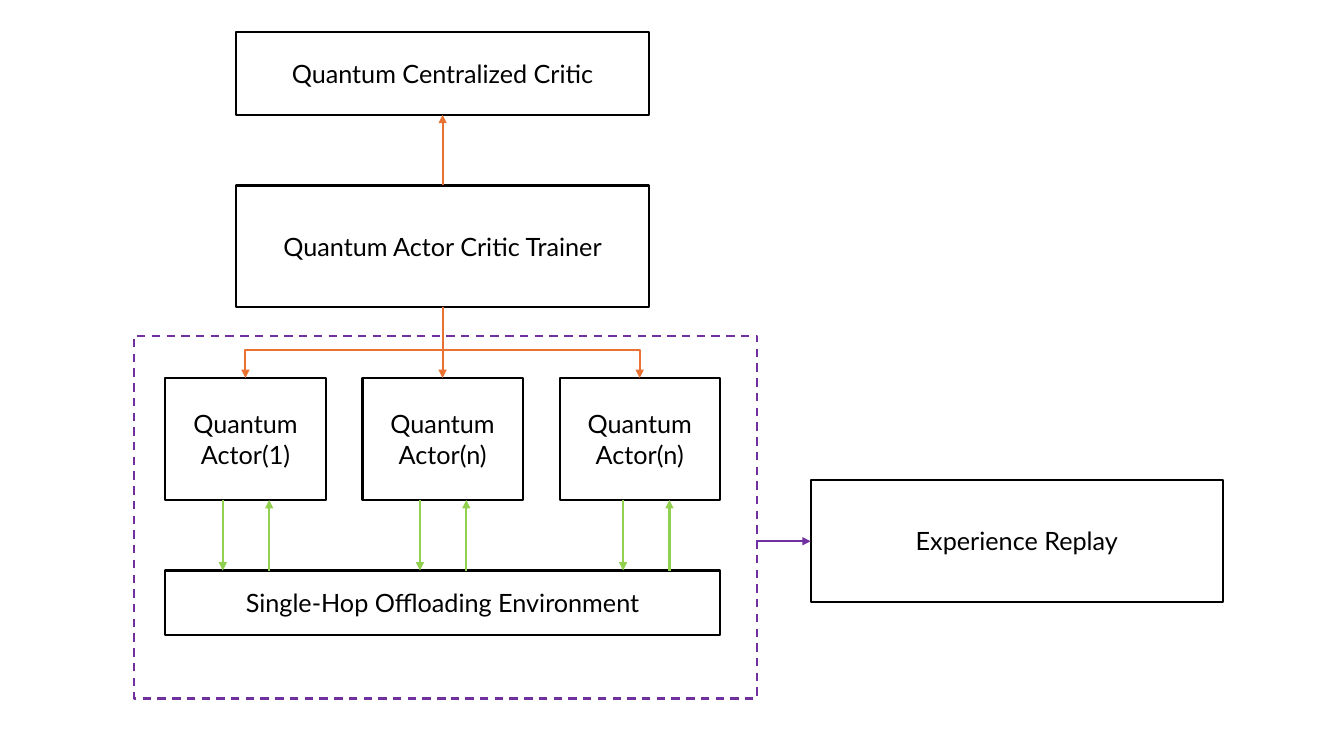
from lxml.etree import SubElement as Sub
from pptx import Presentation
from pptx.dml.color import RGBColor as Rgb
from pptx.enum.dml import MSO_LINE as Dash
from pptx.enum.shapes import MSO_CONNECTOR as Link, MSO_SHAPE as Form
from pptx.enum.text import MSO_ANCHOR as Anchor, PP_ALIGN as Align
from pptx.oxml.ns import qn
from pptx.util import Inches, Pt

COLORS = {
    "ink": "000000",
    "paper": "FFFFFF",
    "train": "E97132",
    "step": "92D050",
    "group": "7030A0",
}


class Chart:
    """Draws on a grid with cells of a tenth of an inch."""
    cell = Inches(0.1)
    font, size, stroke = "Lato", Pt(18), Pt(1.5)

    def __init__(self, slide):
        self.shapes = slide.shapes

    def grid(self, *cells):
        return [round(n * self.cell) for n in cells]

    def tint(self, name):
        return Rgb.from_string(COLORS[name])

    def pen(self, line, color):
        line.color.rgb = self.tint(color)
        line.width = self.stroke

    def box(self, col, row, wide, high, text="", color="ink", dash=None):
        box = self.shapes.add_shape(
            Form.RECTANGLE, *self.grid(col, row, wide, high))
        box.shadow.inherit = False
        box.fill.solid()
        box.fill.fore_color.rgb = self.tint("paper")
        self.pen(box.line, color)
        if dash:
            box.line.dash_style = dash
        if text:
            self.label(box.text_frame, text)

    def label(self, frame, text):
        frame.word_wrap = True
        frame.vertical_anchor = Anchor.MIDDLE
        frame.text = text
        for par in frame.paragraphs:
            par.alignment = Align.CENTER
            par.font.name = self.font
            par.font.size = self.size
            par.font.color.rgb = self.tint("ink")

    def arrow(self, start, end, color, bent=False):
        kind = Link.ELBOW if bent else Link.STRAIGHT
        link = self.shapes.add_connector(kind, *self.grid(*start, *end))
        self.pen(link.line, color)
        props = link._element.spPr
        if bent:  # a single corner: across, then down
            props.find(qn("a:prstGeom")).set("prst", "bentConnector2")
        Sub(props.find(qn("a:ln")), qn("a:tailEnd"), type="triangle")
        Sub(props, qn("a:effectLst"))


def main():
    deck = Presentation()
    deck.slide_width, deck.slide_height = Inches(13.33), Inches(7.5)
    chart = Chart(deck.slides.add_slide(deck.slide_layouts[6]))

    mid, gap = 43.9, 19.55      # centre of the stack, step between actors
    wide, slim, tall = 40.9, 15.9, 12.1
    left = mid - wide / 2
    critic, coach, fork, top, base = 3.2, 18.4, 34.7, 37.5, 56.6
    foot = top + tall

    # Group frame, environment and replay
    chart.box(13.3, 33.3, 61.8, 36, color="group", dash=Dash.DASH)
    chart.box(16.4, base, 55, 6.4, "Single-Hop Offloading Environment")
    chart.box(80.4, 47.6, wide, tall, "Experience Replay")
    chart.arrow((75.1, 53.7), (80.4, 53.7), "group")

    # Critic and trainer
    chart.box(left, critic, wide, 8.2, "Quantum Centralized Critic")
    chart.box(left, coach, wide, tall, "Quantum Actor Critic Trainer")
    chart.arrow((mid, coach), (mid, critic + 8.2), "train")

    # Actors: number, place from the centre, shift of the arrow pair
    for num, place, shift in (("1", -1, 0), ("n", 0, 0), ("n", 1, 0.6)):
        hub = mid + place * gap
        chart.box(hub - slim / 2, top, slim, tall, f"Quantum\nActor({num})")
        start = fork if place else coach + tall
        chart.arrow((mid, start), (hub, top), "train", bent=place != 0)
        down, up = hub + shift - 2.25, hub + shift + 2.35
        chart.arrow((down, foot), (down, base), "step")
        chart.arrow((up, base), (up, foot), "step")

    deck.save("out.pptx")


if __name__ == "__main__":
    main()
